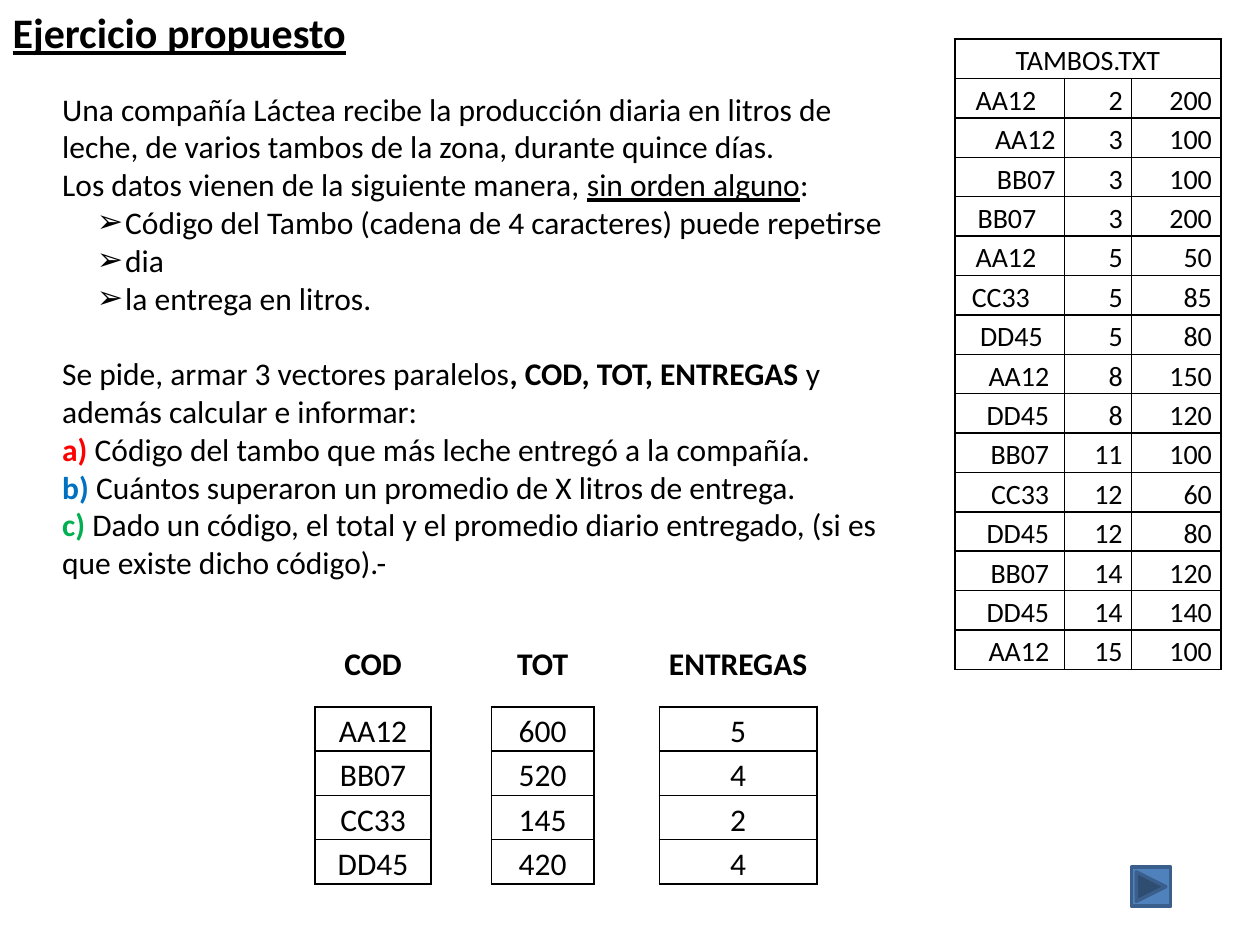
from lxml import etree
from pptx import Presentation
from pptx.dml.color import RGBColor
from pptx.enum.shapes import MSO_SHAPE as Kind
from pptx.enum.text import MSO_ANCHOR as Anchor, MSO_AUTO_SIZE as Fit, PP_ALIGN as Align
from pptx.oxml.ns import qn
from pptx.util import Cm, Pt

BLACK = RGBColor(0x00, 0x00, 0x00)
RED = RGBColor(0xFF, 0x00, 0x00)
BLUE = RGBColor(0x00, 0x70, 0xC0)
GREEN = RGBColor(0x00, 0xB0, 0x50)
STEEL = RGBColor(0x4F, 0x81, 0xBD)
NAVY = RGBColor(0x3A, 0x5F, 0x8C)

FONT = "Calibri"
PLAIN = "{2D5ABB26-0587-4C30-8999-92F81FD0307C}"  # table style without grid
SIDE, STEP = 0.18, 0.13  # cell side margin and one step of code offset, in cm

BOLD = {"bold": True}
# Each paragraph: kind, then runs of (text, format)
BODY = [
    ("text", [("Una compañía Láctea recibe la producción diaria en litros de leche, "
               "de varios tambos de la zona, durante quince días.", {})]),
    ("text", [("Los datos vienen de la siguiente manera, ", {}),
              ("sin orden alguno", {"underline": True}), (":", {})]),
    ("item", [("Código del Tambo (cadena de 4 caracteres) puede repetirse", {})]),
    ("item", [("dia", {})]),
    ("item", [("la entrega en litros.", {})]),
    ("part", [("Se pide, armar 3 vectores paralelos", {}),
              (", COD, TOT, ENTREGAS ", BOLD),
              ("y además calcular e informar:", {})]),
    ("text", [("a)", {"color": RED, **BOLD}),
              (" Código del tambo que más leche entregó a la compañía.", {})]),
    ("text", [("b)", {"color": BLUE, **BOLD}),
              (" Cuántos superaron un promedio de X litros de entrega.", {})]),
    ("text", [("c)", {"color": GREEN, **BOLD}),
              (" Dado un código, el total y el promedio diario entregado, "
               "(si es que existe dicho código).-", {})]),
]
# Code, day, litres, offset steps of the code from the right
TAMBOS = [
    ("AA12", 2, 200, 3), ("AA12", 3, 100, 0), ("BB07", 3, 100, 0),
    ("BB07", 3, 200, 3), ("AA12", 5, 50, 3), ("CC33", 5, 85, 4),
    ("DD45", 5, 80, 2), ("AA12", 8, 150, 1), ("DD45", 8, 120, 1),
    ("BB07", 11, 100, 1), ("CC33", 12, 60, 1), ("DD45", 12, 80, 1),
    ("BB07", 14, 120, 1), ("DD45", 14, 140, 1), ("AA12", 15, 100, 1),
]
VECTORS = {
    "COD": ("AA12", "BB07", "CC33", "DD45"),
    "TOT": (600, 520, 145, 420),
    "ENTREGAS": (5, 4, 2, 4),
}


def put(shape, box):
    names = ("left", "top", "width", "height")
    for name, val in zip(names, box):
        setattr(shape, name, Cm(val))


def write(para, text, size, color=BLACK, **form):
    run = para.add_run()
    run.text = text
    for name, val in {"name": FONT, "size": Pt(size), **form}.items():
        setattr(run.font, name, val)
    run.font.color.rgb = color


def mark(para, sign=None):
    """Give the paragraph a bullet sign, or none."""
    ppr = para._p.get_or_add_pPr()
    ppr.set("marL", str(Cm(1.27 if sign else 0)))
    ppr.set("indent", str(Cm(-0.57 if sign else 0)))
    if sign:
        etree.SubElement(ppr, qn("a:buFont"), typeface=FONT)
        etree.SubElement(ppr, qn("a:buChar"), char=sign)
    else:
        etree.SubElement(ppr, qn("a:buNone"))


def add_title(slide, box):
    title = slide.shapes.title
    put(title, box)
    frame = title.text_frame
    form = {"word_wrap": False, "auto_size": Fit.NONE, "vertical_anchor": Anchor.MIDDLE}
    for name, val in form.items():
        setattr(frame, name, val)
    para = frame.paragraphs[0]
    para.alignment = Align.LEFT
    write(para, "Ejercicio propuesto", 24, bold=True, underline=True)


def add_body(slide, box):
    body = slide.placeholders[1]
    put(body, box)
    frame = body.text_frame
    frame.auto_size = Fit.NONE
    for i, (kind, runs) in enumerate(BODY):
        para = frame.add_paragraph() if i else frame.paragraphs[0]
        para.level = 1 if kind == "item" else 0
        para.space_before = Pt(21.6 if kind == "part" else 0)
        mark(para, "➢" if kind == "item" else None)
        for text, form in runs:
            write(para, text, 18, **form)


def add_grid(slide, left, top, cols, rows):
    """Add a bare table with the given column widths and row heights."""
    box = map(Cm, (left, top, sum(cols), sum(rows)))
    table = slide.shapes.add_table(len(rows), len(cols), *box).table
    table.first_row = table.horz_banding = False
    table._tbl.tblPr.find(qn("a:tableStyleId")).text = PLAIN
    for col, val in zip(table.columns, cols):
        col.width = Cm(val)
    for row, val in zip(table.rows, rows):
        row.height = Cm(val)
    for cell in table.iter_cells():
        cell.margin_top = cell.margin_bottom = 0
        cell.margin_left = cell.margin_right = Cm(SIDE)
        cell.fill.background()
    return table


def frame_cell(cell):
    tcpr = cell._tc.get_or_add_tcPr()
    for i, side in enumerate(("lnL", "lnR", "lnT", "lnB")):
        line = etree.Element(qn("a:" + side), w=str(Pt(1)))
        fill = etree.SubElement(line, qn("a:solidFill"))
        etree.SubElement(fill, qn("a:srgbClr"), val=str(BLACK))
        tcpr.insert(i, line)


def fill_cell(cell, val, size, align, **form):
    para = cell.text_frame.paragraphs[0]
    para.alignment = align
    para.line_spacing = 1.15
    write(para, str(val), size, **form)


def add_tambos(slide, left, top):
    rows = [0.79] * (len(TAMBOS) + 1)
    table = add_grid(slide, left, top, (2.21, 1.35, 1.8), rows)
    for cell in table.iter_cells():
        frame_cell(cell)
    head = table.cell(0, 0)
    head.merge(table.cell(0, 2))
    fill_cell(head, "TAMBOS.TXT", 16, Align.CENTER)
    for r, (*vals, steps) in enumerate(TAMBOS, 1):
        for c, val in enumerate(vals):
            fill_cell(table.cell(r, c), val, 16, Align.RIGHT)
        table.cell(r, 0).margin_right = Cm(SIDE + steps * STEP)


def add_vectors(slide, left, top):
    cols = (2.34, 1.22, 2.06, 1.32, 3.18, 0.58)
    table = add_grid(slide, left, top, cols, [1.35] + [0.88] * 4)
    for i, (name, vals) in enumerate(VECTORS.items()):
        fill_cell(table.cell(0, 2 * i), name, 18, Align.CENTER, bold=True)
        for r, val in enumerate(vals, 1):
            cell = table.cell(r, 2 * i)
            fill_cell(cell, val, 18, Align.CENTER)
            frame_cell(cell)


def add_button(slide, box):
    kind = Kind.ACTION_BUTTON_FORWARD_OR_NEXT
    button = slide.shapes.add_shape(kind, *map(Cm, box))
    button.shadow.inherit = False
    button.fill.solid()
    button.fill.fore_color.rgb = STEEL
    button.line.color.rgb = NAVY
    button.line.width = Pt(2)


def main():
    deck = Presentation()
    deck.slide_width, deck.slide_height = Cm(25.4), Cm(19.05)
    slide = deck.slides.add_slide(deck.slide_layouts[1])
    add_title(slide, (0, 0, 7.29, 1.27))
    add_body(slide, (1, 1.68, 17.65, 10.26))
    add_tambos(slide, 19.25, 0.79)
    add_vectors(slide, 6.35, 12.9)
    add_button(slide, (22.81, 17.48, 0.79, 0.79))
    deck.save("out.pptx")


if __name__ == "__main__":
    main()
